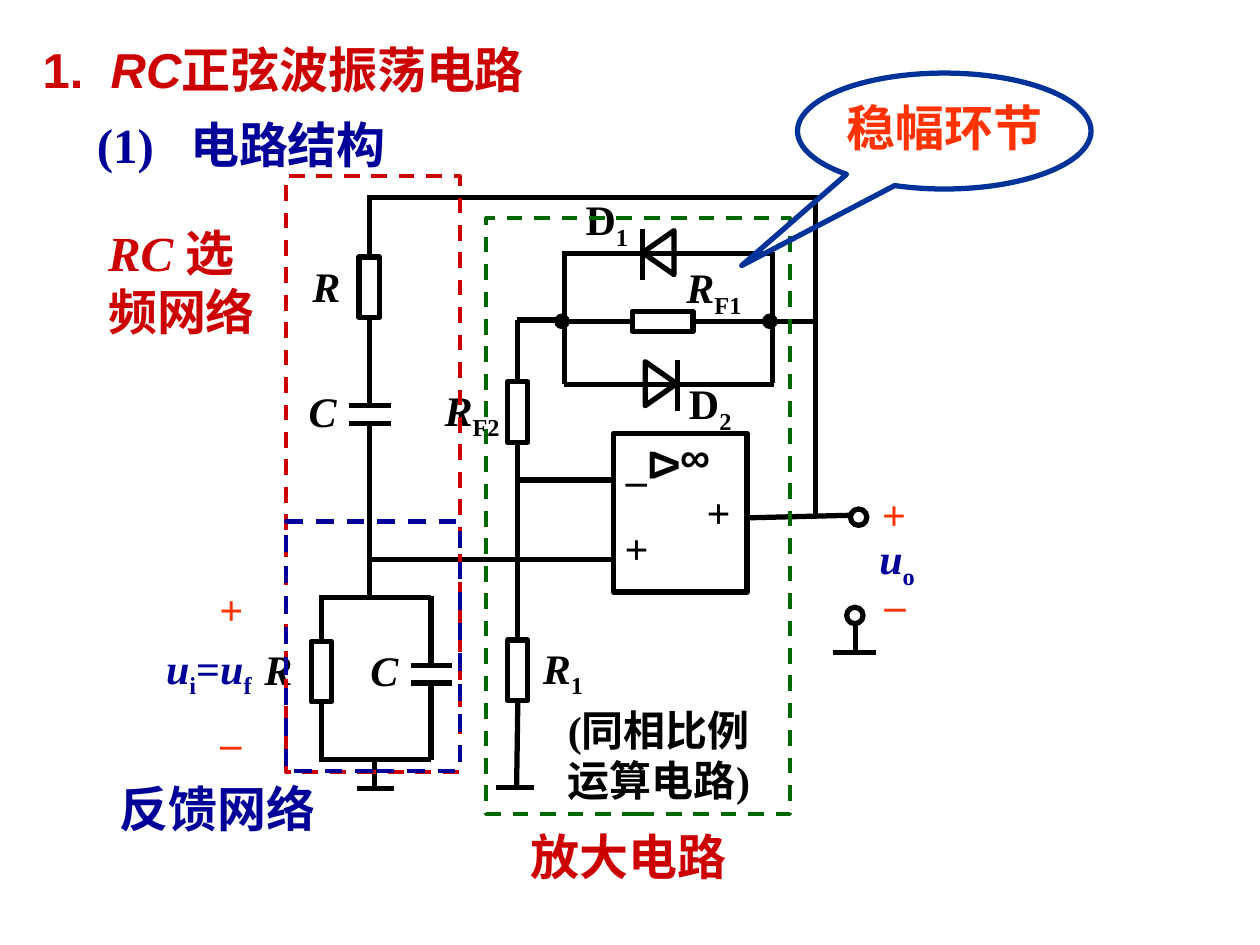
import pptx
import pptx.util
import pptx.dml.color
import pptx.enum.dml
import pptx.enum.shapes
import pptx.enum.text
import pptx.oxml
import pptx.oxml.ns

RGBColor = pptx.dml.color.RGBColor
BLACK = RGBColor(0x00, 0x00, 0x00)
RED = RGBColor(0xCC, 0x00, 0x00)
ORANGE = RGBColor(0xFF, 0x33, 0x00)
NAVY = RGBColor(0x00, 0x00, 0x99)
BLUE = RGBColor(0x00, 0x33, 0x99)
GREEN = RGBColor(0x00, 0x66, 0x00)

SHAPE = pptx.enum.shapes.MSO_SHAPE
ALIGN = pptx.enum.text.PP_ALIGN
ANCHOR = pptx.enum.text.MSO_ANCHOR
TOP, LEFT, BOTTOM, RIGHT = range(4)  # connection sites of a rectangle


def inch(*values):
    """Lengths in inches, given as centimetres."""
    return [pptx.util.Cm(v * 2.54) for v in values]


def xml(tag, parent, **attrs):
    el = parent.makeelement(pptx.oxml.ns.qn(tag), attrs)
    parent.append(el)
    return el


def add_run(p, text, size=24, font="Times New Roman", color=BLACK, italic=False, sub=False):
    r = p.add_run()
    r.text = text
    f = r.font
    f.size, f.name, f.bold, f.italic = pptx.util.Pt(size), font, True, italic
    f.color.rgb = color
    rPr = r._r.get_or_add_rPr()
    if sub:
        rPr.set("baseline", "-25000")
    xml("a:ea", rPr, typeface="Noto Sans CJK JP")


class Diagram:
    """Current slide plus the style of its wires, parts and labels."""

    def __init__(self, s, line_width=3, line_color=BLACK):
        self.s, self.line_width, self.line_color = s, line_width, line_color

    def shape(self, kind, x, y, w, h, color=None, width=None, dash=False):
        sp = self.s.shapes.add_shape(kind, *inch(x, y, w, h))
        sp.shadow.inherit = False
        sp.fill.background()
        sp.line.color.rgb = color or self.line_color
        sp.line.width = pptx.util.Pt(width or self.line_width)
        if dash:
            sp.line.dash_style = pptx.enum.dml.MSO_LINE.DASH
        return sp

    def resistor(self, cx, cy, upright=True):
        w, h = (0.16, 0.48) if upright else (0.48, 0.16)
        return self.shape(SHAPE.RECTANGLE, cx - w / 2, cy - h / 2, w, h)

    def diode(self, x, y, bar_x, bar_y, rotation):
        sp = self.shape(SHAPE.ISOSCELES_TRIANGLE, x, y, 0.35, 0.25)
        sp.rotation = rotation
        self.wire(bar_x, bar_y, bar_x, bar_y + 0.4)

    def wire(self, x1, y1, x2, y2, begin=None, end=None, dot=None):
        c = self.s.shapes.add_connector(
            pptx.enum.shapes.MSO_CONNECTOR.STRAIGHT, *inch(x1, y1, x2, y2))
        c.line.color.rgb = self.line_color
        c.line.width = pptx.util.Pt(self.line_width)
        if dot:
            xml(dot, c._element.spPr.find(pptx.oxml.ns.qn("a:ln")), type="oval")
        xml("a:effectLst", c._element.spPr)
        if begin:
            c.begin_connect(*begin)
        if end:
            c.end_connect(*end)

    def text(self, x, y, w, h, *runs, wrap=True, align=ALIGN.LEFT, tab=None,
             anchor=ANCHOR.TOP, rotation=0, **fmt):
        """Each run is a string, or a pair of string and own format."""
        sp = self.s.shapes.add_textbox(*inch(x, y, w, h))
        sp.rotation = rotation
        self.fill_text(sp, *runs, wrap=wrap, align=align, tab=tab, anchor=anchor, **fmt)

    def fill_text(self, sp, *runs, wrap, align, anchor, tab=None, **fmt):
        tf = sp.text_frame
        tf.word_wrap, tf.vertical_anchor = wrap, anchor
        p = tf.paragraphs[0]
        p.alignment = align
        if tab:
            tabs = xml("a:tabLst", p._p.get_or_add_pPr())
            xml("a:tab", tabs, pos=str(inch(tab)[0]), algn="l")
        for run in runs:
            text, own = (run, {}) if isinstance(run, str) else run
            add_run(p, text, **{**fmt, **own})
        return p

    def symbol(self, x, y, w, letter, sub="", **fmt):
        """Quantity such as R with an upright subscript."""
        runs = [letter] + ([(sub, dict(italic=False, sub=True))] if sub else [])
        self.text(x, y, w, 0.56 if sub else 0.5, *runs, **{"italic": True, **fmt})


def main():
    prs = pptx.Presentation()
    prs.slide_width, prs.slide_height = inch(10, 7.5)
    d = Diagram(prs.slides.add_slide(prs.slide_layouts[6]))
    italic, upright_sub = dict(italic=True), dict(sub=True)

    # Headings
    d.text(0.24, 0.25, 4.29, 0.6, "1.\t", ("RC", italic), "正弦波振荡电路",
           size=28, font="Arial", color=RED, anchor=ANCHOR.MIDDLE, tab=0.54)
    d.text(0.67, 0.86, 2.58, 0.57, "(1)\t电路结构", size=28, color=NAVY, tab=0.74)

    # Operational amplifier
    d.shape(SHAPE.RECTANGLE, 4.87, 3.44, 1.06, 1.26)
    for x, y, sign in [(4.86, 4.1, "+"), (5.51, 3.81, "+"), (4.87, 3.55, "–")]:
        d.text(x, y, 0.5, 0.5, sign)
    d.text(5.3, 3.37, 0.49, 0.5, "∞", font="Arial")
    d.text(5.09, 3.43, 0.4, 0.5, "Δ", font="Arial", rotation=90, wrap=False,
           align=ALIGN.CENTER)

    # Resistors and the wires joined to them
    r_series = d.resistor(2.93, 2.28)
    r_parallel = d.resistor(2.55, 5.33)
    rf2 = d.resistor(4.11, 3.27)
    r1 = d.resistor(4.11, 5.32)
    rf1 = d.resistor(5.26, 2.55, upright=False)
    d.wire(2.93, 1.55, 2.93, 2.04, end=(r_series, TOP))
    d.wire(2.93, 2.52, 2.93, 3.2, begin=(r_series, BOTTOM))
    d.wire(2.55, 4.72, 2.55, 5.09, end=(r_parallel, TOP))
    d.wire(2.55, 5.57, 2.55, 6.05, begin=(r_parallel, BOTTOM))
    d.wire(4.11, 2.54, 4.11, 3.03, end=(rf2, TOP))
    d.wire(4.11, 3.51, 4.11, 5.08, begin=(rf2, BOTTOM), end=(r1, TOP))
    d.wire(4.11, 5.56, 4.1, 6.25, begin=(r1, BOTTOM))
    d.wire(4.46, 2.55, 5.02, 2.55, end=(rf1, LEFT), dot="a:headEnd")
    d.wire(5.5, 2.55, 6.11, 2.55, begin=(rf1, RIGHT), dot="a:tailEnd")

    # Diodes
    d.diode(5.05, 1.88, 5.1, 1.82, rotation=270)
    d.diode(5.07, 2.92, 5.38, 2.86, rotation=90)

    # Capacitor plates
    for x, y in [(2.77, 3.22), (3.26, 5.28)]:
        for plate_y in (y, y + 0.14):
            d.wire(x, plate_y, x + 0.33, plate_y)

    # Remaining wires
    for ends in [
        (6.47, 1.57, 2.91, 1.57), (6.47, 1.55, 6.47, 4.11),   # feedback loop
        (4.48, 2.02, 4.48, 3.05), (6.13, 2, 6.13, 3.04),      # diode branches
        (4.46, 2.01, 6.12, 2.01), (4.48, 3.05, 6.14, 3.05),
        (4.45, 2.54, 4.1, 2.54), (6.13, 2.55, 6.46, 2.55),
        (2.92, 4.44, 4.87, 4.44), (4.09, 3.81, 4.87, 3.81),   # inputs, output
        (5.93, 4.11, 6.74, 4.09),
        (2.93, 3.34, 2.93, 4.72), (2.53, 4.74, 3.42, 4.74),   # parallel RC
        (3.42, 4.73, 3.42, 5.27), (3.42, 5.43, 3.42, 6.03),
        (2.54, 6.03, 3.42, 6.03),
        (2.97, 6.01, 2.97, 6.25), (2.83, 6.26, 3.13, 6.26),   # grounds
        (3.94, 6.25, 4.24, 6.25),
        (6.79, 4.96, 6.79, 5.18), (6.61, 5.18, 6.95, 5.18),
    ]:
        d.wire(*ends)

    # Output terminals
    for x, y in [(6.75, 4.04), (6.72, 4.82)]:
        d.shape(SHAPE.OVAL, x, y, 0.13, 0.13)

    # Component labels
    d.symbol(2.38, 2.02, 0.42, "R")
    d.symbol(2, 5.06, 0.42, "R")
    d.symbol(2.35, 3.01, 0.51, "C")
    d.symbol(2.84, 5.07, 0.51, "C")
    d.symbol(3.43, 3, 0.7, "R", "F2")
    d.symbol(5.35, 2.03, 0.7, "R", "F1")
    d.symbol(4.21, 5.05, 0.66, "R", "1")
    d.symbol(4.55, 1.49, 0.7, "D", "1", italic=False)
    d.symbol(5.37, 2.95, 0.7, "D", "2", italic=False)

    # Voltages and their polarity
    d.symbol(6.88, 4.18, 0.68, "u", "o", color=NAVY)
    d.text(1.22, 5.05, 1.02, 0.56, ("u", italic), ("i", upright_sub), "=",
           ("u", italic), ("f", upright_sub), color=NAVY)
    for x, y, w, sign in [(1.64, 4.58, 0.39, "+"), (6.9, 3.83, 0.39, "+"),
                          (1.65, 5.64, 0.36, "–"), (6.78, 4.54, 0.65, "–")]:
        d.text(x, y, w, 0.5, sign, color=ORANGE, align=ALIGN.CENTER, wrap=False)

    # Dashed blocks and their names
    d.shape(SHAPE.RECTANGLE, 3.86, 1.73, 2.41, 4.73, GREEN, 2.25, dash=True)
    d.text(4.11, 6.51, 2.08, 0.57, "放大电路", size=28, color=RED)
    d.text(4.41, 5.54, 1.77, 0.9, "(同相比例运算电路)")
    d.shape(SHAPE.RECTANGLE, 2.27, 1.4, 1.38, 4.73, RED, 2.25, dash=True)
    d.text(0.76, 1.72, 1.48, 1.04, ("RC ", italic), "选频网络", size=28, color=RED)
    d.shape(SHAPE.RECTANGLE, 2.27, 4.14, 1.38, 1.98, NAVY, 2.5, dash=True)
    d.text(0.85, 6.13, 1.82, 0.57, "反馈网络", size=28, color=NAVY)

    # Callout
    sp = d.shape(SHAPE.OVAL_CALLOUT, 6.33, 0.58, 2.33, 0.92, BLUE)
    sp.adjustments[0], sp.adjustments[1] = -0.69, 1.16
    p = d.fill_text(sp, "稳幅环节", wrap=False, align=ALIGN.CENTER,
                    anchor=ANCHOR.MIDDLE, size=28, color=ORANGE)
    p.line_spacing = 0.9

    prs.save("out.pptx")


if __name__ == "__main__":
    main()
